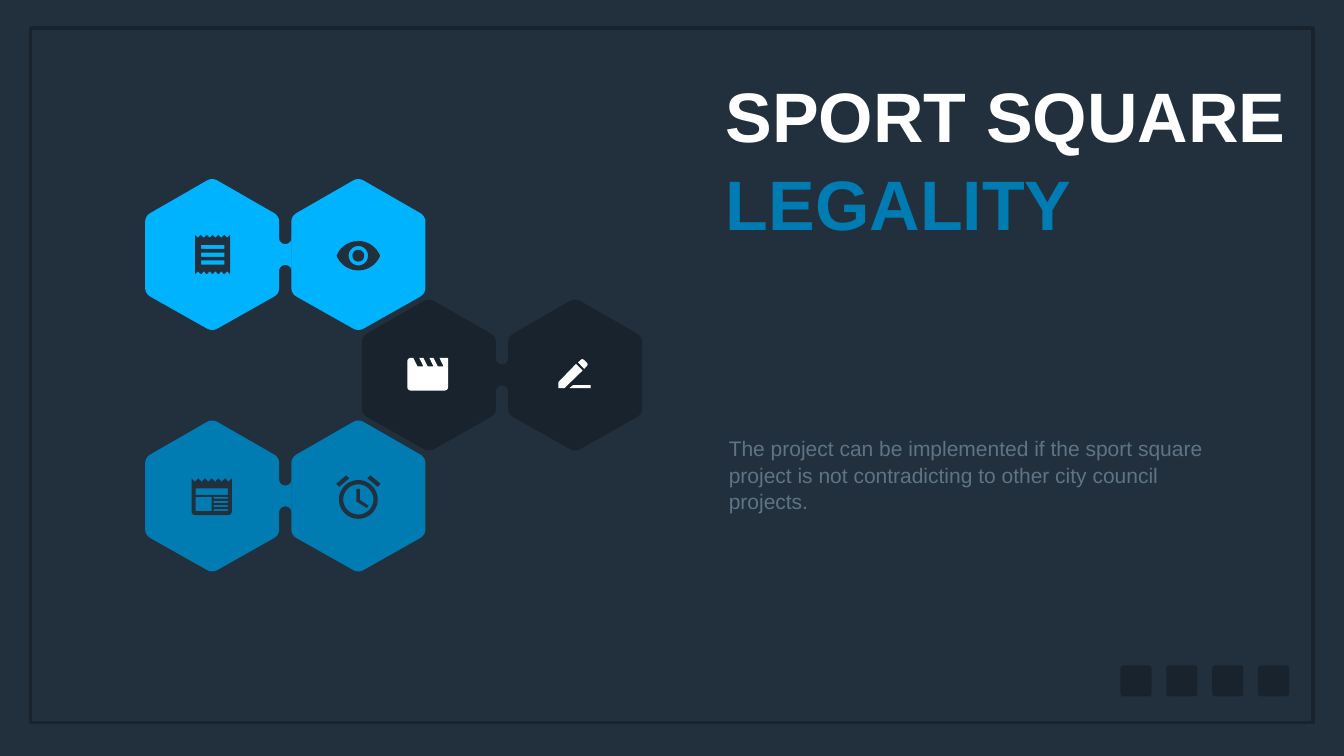
import math

import pptx
import pptx.dml.color
import pptx.enum.shapes
import pptx.enum.text
import pptx.util

Pt = pptx.util.Pt
NAVY, DARK, BLUE, SKY = "22303E", "18232D", "007CB2", "00B3FF"
WHITE, GREY = "FFFFFF", "5E7484"


def color(value):
    return pptx.dml.color.RGBColor.from_string(value)


def arc(x, y, radius, start=0, end=360, steps=36):
    angles = [math.radians(start + (end - start) * i / steps) for i in range(steps + 1)]
    return [(x + radius * math.cos(a), y + radius * math.sin(a)) for a in angles]


def box(left, top, width, height):
    right, bottom = left + width, top + height
    return [(left, top), (right, top), (right, bottom), (left, bottom)]


def zigzag(left, top, step, depth, count=12):
    return [(left + i * step, top + i % 2 * depth) for i in range(count + 1)]


def toward(start, end, distance):
    part = distance / math.dist(start, end)
    return tuple(a + (b - a) * part for a, b in zip(start, end))


def rounded(corners, radii, steps=8):
    outline = []
    for i, (corner, radius) in enumerate(zip(corners, radii)):
        if not radius:
            outline.append(corner)
            continue
        first = toward(corner, corners[i - 1], radius)
        last = toward(corner, corners[(i + 1) % len(corners)], radius)
        for t in (n / steps for n in range(steps + 1)):
            outline.append(tuple((1 - t) ** 2 * a + 2 * t * (1 - t) * b + t * t * c
                                 for a, b, c in zip(first, corner, last)))
    return outline


class Deck:
    font = "Arial"
    inset = 4.3
    line_spacing = 1.05

    def __init__(self, width, height, background):
        self.presentation = pptx.Presentation()
        self.presentation.slide_width = Pt(width)
        self.presentation.slide_height = Pt(height)
        self.slide = self.presentation.slides.add_slide(self.presentation.slide_layouts[6])
        self.slide.background.fill.solid()
        self.slide.background.fill.fore_color.rgb = color(background)

    def style(self, shape, fill=None, line=None, weight=1):
        shape.shadow.inherit = False
        if fill:
            shape.fill.solid()
            shape.fill.fore_color.rgb = color(fill)
        else:
            shape.fill.background()
        if line:
            shape.line.color.rgb = color(line)
            shape.line.width = Pt(weight)
        else:
            shape.line.fill.background()

    def rectangle(self, left, top, width, height, corner=0, **look):
        kinds = pptx.enum.shapes.MSO_SHAPE
        kind = kinds.ROUNDED_RECTANGLE if corner else kinds.RECTANGLE
        shape = self.slide.shapes.add_shape(kind, Pt(left), Pt(top), Pt(width), Pt(height))
        if corner:
            shape.adjustments[0] = corner
        self.style(shape, **look)

    def outline(self, contours, fill, shapes=None):
        shapes = shapes or self.slide.shapes
        contours = [[(Pt(x), Pt(y)) for x, y in contour] for contour in contours]
        builder = shapes.build_freeform(*contours[0][0])
        for i, (start, *others) in enumerate(contours):
            if i:
                builder.move_to(*start)
            builder.add_line_segments(others, close=True)
        self.style(builder.convert_to_shape(), fill)

    def hexagon_pair(self, left, top, fill):
        group = self.slide.shapes.add_group_shape()
        width, step = 191.5, 208.8
        for x in (left, left + step):
            middle, right = x + width / 2, x + width
            corners = [(middle, top - 2), (right, top + 53), (right, top + 164),
                       (middle, top + 218), (x, top + 164), (x, top + 53)]
            self.outline([rounded(corners, [9] * 6)], fill, group.shapes)
        radius = (step - width) / 2 + 0.4
        center, upper, lower = left + (step + width) / 2, top + 84, top + 132
        bridge = (arc(center, upper, radius, 180, 0, 18)
                  + arc(center, lower, radius, 0, -180, 18))
        self.outline([bridge], fill, group.shapes)

    def text(self, left, top, width, height, paragraphs, size, bold=False, wrap=True):
        shape = self.slide.shapes.add_textbox(Pt(left), Pt(top), Pt(width), Pt(height))
        frame = shape.text_frame
        frame.word_wrap = wrap
        frame.auto_size = pptx.enum.text.MSO_AUTO_SIZE.SHAPE_TO_FIT_TEXT
        frame.vertical_anchor = pptx.enum.text.MSO_ANCHOR.MIDDLE
        frame.margin_left = frame.margin_right = Pt(self.inset)
        frame.margin_top = frame.margin_bottom = Pt(self.inset)
        for i, (words, shade) in enumerate(paragraphs):
            paragraph = frame.add_paragraph() if i else frame.paragraphs[0]
            paragraph.line_spacing = self.line_spacing
            run = paragraph.add_run()
            run.text = words
            run.font.name = self.font
            run.font.size = Pt(size)
            run.font.bold = bold
            run.font.color.rgb = color(shade)


def receipt_icon():
    paper = zigzag(278.6, 335.5, 4.17, 4.2) + zigzag(278.6, 391.7, 4.17, -4.2)[::-1]
    return [paper] + [box(287.3, 349.9 + 11.1 * i, 33.1, 5.8) for i in range(3)]


def eye_icon():
    x, y = 511.9, 365.3
    lids = arc(x, y + 12.4, 33.4, 202, 338) + arc(x, y - 12.4, 33.4, 22, 158)
    return [lids, arc(x, y, 13.9), arc(x, y, 8.4)]


def clapper_icon():
    slots = [(x + dx, 511.2 + dy) for x in (627.8, 613.4, 599)
             for dx, dy in ((0, 0), (5.8, 12.2), (-2.5, 12.2), (-8.6, 0))]
    corners = [(640.1, 511.2)] + slots + [(581.8, 511.2), (581.8, 558), (640.1, 558)]
    return [rounded(corners, [0] * 13 + [6] * 3)]


def newspaper_icon():
    corners = zigzag(273.6, 683.3, 4.8, 5) + [(331.2, 735.8), (273.6, 735.8)]
    lines = [box(305.3, 709.9 + 5.8 * i, 20.2, 2.6) for i in range(4)]
    return [rounded(corners, [0] * 13 + [6] * 2),
            box(279.4, 709.9, 23, 20.2), box(279.4, 697.7, 46.1, 9.4)] + lines


def alarm_icon():
    x, y = 511.9, 713.5
    bell = [(31.7, -22.3), (17.3, -34.5), (13, -30.2), (27.4, -18)]
    bells = [[(x + side * dx, y + dy) for dx, dy in bell] for side in (1, -1)]
    hands = [(514.1, 698.4), (509, 698.4), (509, 716.4),
             (524.2, 725.8), (526.3, 722.2), (514.1, 714.2)]
    return bells + [hands, arc(x, y, 27.7), arc(x, y, 21.6)]


def pencil_icon():
    body = [(797.8, 545.8), (797.8, 554.4), (806.4, 554.4), (832.3, 529.2), (822.9, 519.8)]
    tip = [(825.8, 517.7), (832, 512), (840.5, 520.5), (834.5, 527)]
    stroke = [(818.6, 550.1), (813.6, 554.4), (843.8, 554.4), (843.8, 550.1)]
    return [body, rounded(tip, [0, 3, 3, 0]), stroke]


def main():
    deck = Deck(1920, 1080, NAVY)
    deck.rectangle(43.9, 40.3, 1831.7, 992.2, line=DARK, weight=5)
    for i in range(4):
        deck.rectangle(1600.6 + 65.5 * i, 950.4, 44.6, 44.6, corner=0.1, fill=DARK)
    deck.text(1032.5, 98.6, 816.5, 250.6,
              [("SPORT SQUARE", WHITE), ("LEGALITY", BLUE)], size=100, bold=True, wrap=False)
    deck.text(1036.8, 618.5, 712, 117.4,
              [("The project can be implemented if the sport square project is not "
                "contradicting to other city council projects.", GREY)], size=30)
    for left, top, fill in ((207.4, 600.5, BLUE), (517, 427.7, DARK), (207.4, 255.6, SKY)):
        deck.hexagon_pair(left, top, fill)
    for icon, fill in ((receipt_icon, NAVY), (eye_icon, NAVY), (clapper_icon, WHITE),
                       (newspaper_icon, NAVY), (alarm_icon, NAVY), (pencil_icon, WHITE)):
        deck.outline(icon(), fill)
    deck.presentation.save("out.pptx")


if __name__ == "__main__":
    main()
